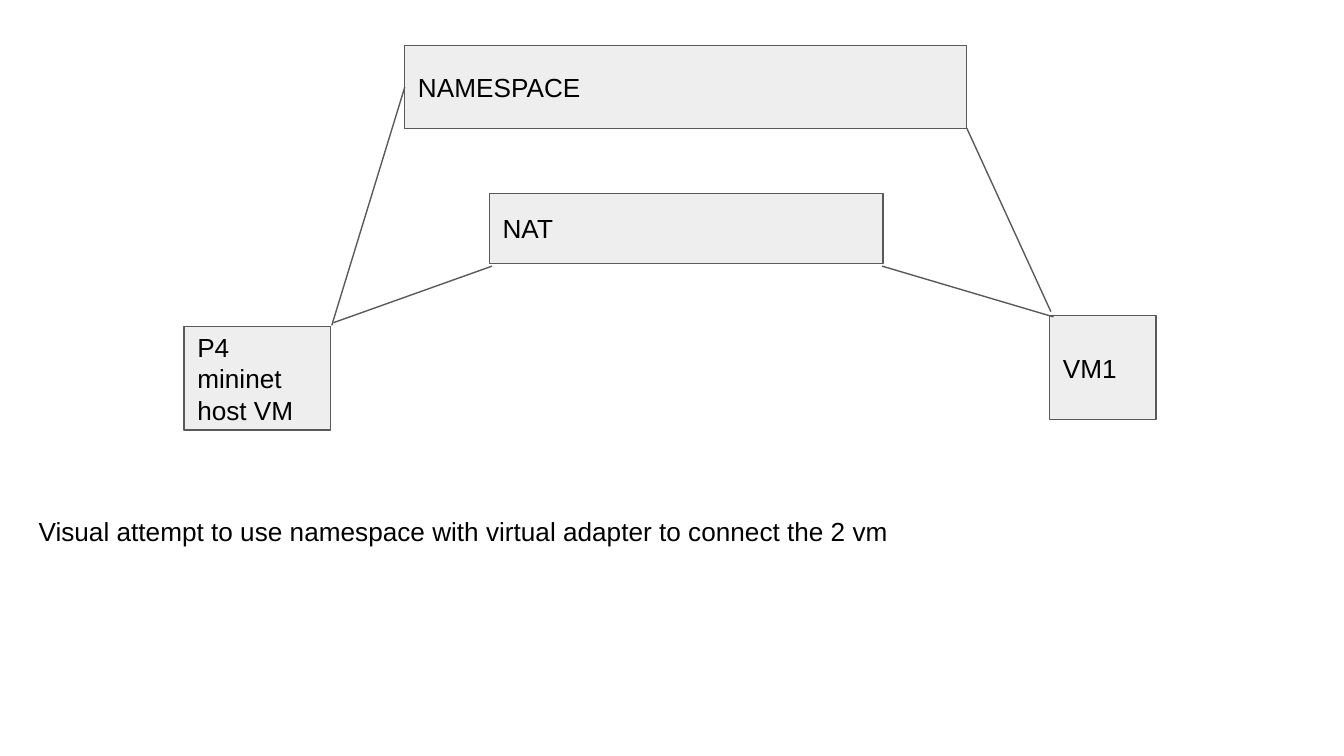
from lxml import etree
from pptx import Presentation
from pptx.dml.color import RGBColor
from pptx.enum import shapes, text
from pptx.oxml.ns import qn
from pptx.util import Cm, Pt

COLORS = {"fill": "EEEEEE", "line": "595959", "text": "000000"}
INSET = Cm(0.25)


def color(name):
    return RGBColor.from_string(COLORS[name])


def style_line(line):
    line.color.rgb = color("line")
    line.width = Pt(0.75)


def set_text(shape, content, anchor):
    tf = shape.text_frame
    tf.word_wrap = True
    tf.vertical_anchor = anchor
    tf.margin_left = tf.margin_right = tf.margin_top = tf.margin_bottom = INSET
    tf.text = content
    p = tf.paragraphs[0]
    p.alignment = text.PP_ALIGN.LEFT
    font = p.runs[0].font
    font.name = "Arial"
    font.size = Pt(14)
    font.color.rgb = color("text")


def add_node(s, label, left, top, width, height):
    sp = s.shapes.add_shape(shapes.MSO_SHAPE.FLOWCHART_PROCESS,
                            Cm(left), Cm(top), Cm(width), Cm(height))
    sp.shadow.inherit = False
    sp.fill.solid()
    sp.fill.fore_color.rgb = color("fill")
    style_line(sp.line)
    set_text(sp, label, text.MSO_ANCHOR.MIDDLE)
    return sp


def add_link(s, x1, y1, x2, y2):
    link = s.shapes.add_connector(shapes.MSO_CONNECTOR.STRAIGHT,
                                  Cm(x1), Cm(y1), Cm(x2), Cm(y2))
    style_line(link.line)
    etree.SubElement(link._element.spPr, qn("a:effectLst"))
    return link


def add_caption(s, content, left, top, width, height):
    box = s.shapes.add_textbox(Cm(left), Cm(top), Cm(width), Cm(height))
    set_text(box, content, text.MSO_ANCHOR.TOP)
    box.text_frame.auto_size = text.MSO_AUTO_SIZE.SHAPE_TO_FIT_TEXT


def main():
    prs = Presentation()
    prs.slide_width, prs.slide_height = Cm(25.4), Cm(14.29)
    s = prs.slides.add_slide(prs.slide_layouts[6])

    add_node(s, "P4 mininet host VM", 3.48, 6.17, 2.77, 1.96)
    add_node(s, "VM1", 19.84, 5.97, 2.01, 1.96)
    add_node(s, "NAT", 9.25, 3.66, 7.44, 1.32)
    namespace = add_node(s, "NAMESPACE", 7.65, 0.86, 10.62, 1.57)

    add_link(s, 6.3, 6.1, 9.3, 5.03)
    host_link = add_link(s, 6.27, 6.15, 7.65, 1.65)
    host_link.end_connect(namespace, 1)
    add_link(s, 19.86, 5.89, 18.27, 2.42)
    add_link(s, 19.91, 5.99, 16.67, 5.03)

    add_caption(s, "Visual attempt to use namespace with virtual adapter "
                   "to connect the 2 vm", 0.48, 9.5, 20.57, 1.12)
    prs.save("out.pptx")


if __name__ == "__main__":
    main()
